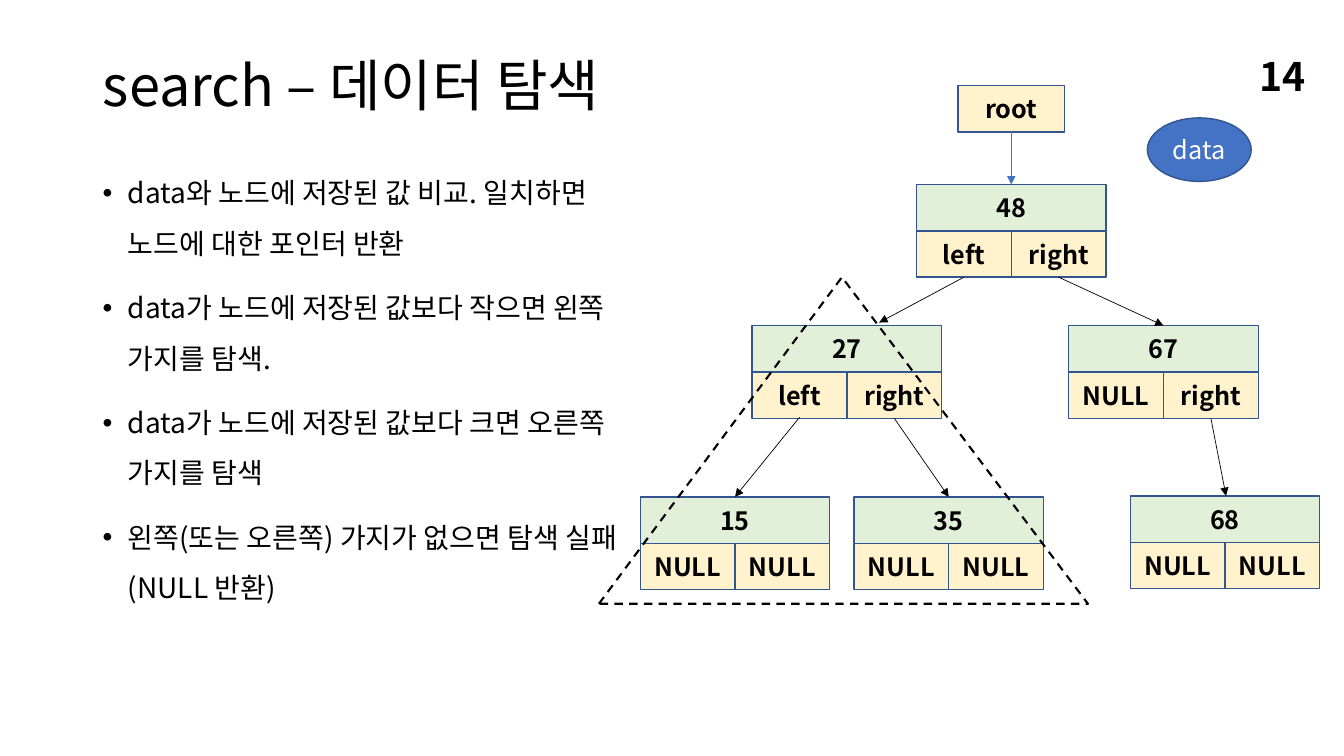
from dataclasses import dataclass
from typing import Any

import pptx
import pptx.dml.color
import pptx.enum.dml
import pptx.enum.shapes
import pptx.enum.text
import pptx.oxml.ns
import pptx.util
from lxml import etree

Inches = pptx.util.Inches
SHAPE = pptx.enum.shapes.MSO_SHAPE
ALIGN = pptx.enum.text.PP_ALIGN
MIDDLE = pptx.enum.text.MSO_ANCHOR.MIDDLE


@dataclass(frozen=True)
class Theme:
    font: str = "Noto Sans CJK KR"
    ink: str = "000000"
    paper: str = "FFFFFF"
    value_fill: str = "E2F0D9"
    pointer_fill: str = "FFF2CC"
    accent: str = "4472C4"
    outline: str = "325491"
    title_size: int = 40
    number_size: int = 28
    body_size: int = 20
    node_size: int = 18


@dataclass(frozen=True)
class Node:
    left: float
    top: float
    value: str
    left_label: str = "NULL"
    right_label: str = "NULL"


@dataclass(frozen=True)
class Arrow:
    start: tuple[float, float]
    end: tuple[float, float]
    color: str


THEME = Theme()
CELL_WIDTH, CELL_HEIGHT = 0.94, 0.46

BULLETS = [
    "data와 노드에 저장된 값 비교. 일치하면 노드에 대한 포인터 반환",
    "data가 노드에 저장된 값보다 작으면 왼쪽 가지를 탐색.",
    "data가 노드에 저장된 값보다 크면 오른쪽 가지를 탐색",
    "왼쪽(또는 오른쪽) 가지가 없으면 탐색 실패(NULL 반환)",
]
NODES = [
    Node(9.09, 1.83, "48", "left", "right"),
    Node(7.46, 3.23, "27", "left", "right"),
    Node(10.6, 3.23, "67", right_label="right"),
    Node(6.35, 4.93, "15"),
    Node(8.47, 4.93, "35"),
    Node(11.21, 4.92, "68"),
]
ARROWS = [
    Arrow((9.56, 2.75), (8.72, 3.2), THEME.ink),
    Arrow((10.5, 2.75), (11.54, 3.23), THEME.ink),
    Arrow((7.93, 4.14), (7.29, 4.93), THEME.ink),
    Arrow((8.87, 4.15), (9.41, 4.93), THEME.ink),
    Arrow((12.01, 4.15), (12.16, 4.92), THEME.ink),
    Arrow((10.03, 1.3), (10.03, 1.83), THEME.accent),
]


def rgb(color: str) -> pptx.dml.color.RGBColor:
    return pptx.dml.color.RGBColor.from_string(color)


def apply(target: Any, values: dict[str, Any]) -> None:
    for name, value in values.items():
        setattr(target, name, value)


def add_element(parent: Any, tag: str, **attributes: str) -> None:
    element = etree.SubElement(parent, pptx.oxml.ns.qn(tag))
    for name, value in attributes.items():
        element.set(name, value)


def write(para: Any, text: str, size: int, color: str = THEME.ink, bold: bool = False) -> None:
    span = para.add_run()
    span.text = text
    apply(span.font, {"name": THEME.font, "size": pptx.util.Pt(size), "bold": bold})
    span.font.color.rgb = rgb(color)
    add_element(span.font._element, "a:ea", typeface=THEME.font)


def place(shape: Any, left: float, top: float, width: float, height: float) -> None:
    apply(shape, {"left": Inches(left), "top": Inches(top),
                  "width": Inches(width), "height": Inches(height)})


def add_box(shapes: Any, kind: Any, left: float, top: float, width: float, height: float,
            fill: str, label: str, color: str = THEME.ink, bold: bool = True) -> None:
    box = shapes.add_shape(kind, Inches(left), Inches(top), Inches(width), Inches(height))
    box.shadow.inherit = False
    box.fill.solid()
    box.fill.fore_color.rgb = rgb(fill)
    box.line.color.rgb = rgb(THEME.outline)
    box.line.width = pptx.util.Pt(1)
    apply(box.text_frame, {"word_wrap": True, "vertical_anchor": MIDDLE})
    para = box.text_frame.paragraphs[0]
    para.alignment = ALIGN.CENTER
    write(para, label, THEME.node_size, color, bold)


def add_node(page: Any, node: Node) -> None:
    cells = page.shapes.add_group_shape().shapes
    pointer_top = node.top + CELL_HEIGHT
    middle = node.left + CELL_WIDTH
    for left, top, width, fill, label in (
        (node.left, pointer_top, CELL_WIDTH, THEME.pointer_fill, node.left_label),
        (node.left, node.top, 2 * CELL_WIDTH, THEME.value_fill, node.value),
        (middle, pointer_top, CELL_WIDTH, THEME.pointer_fill, node.right_label),
    ):
        add_box(cells, SHAPE.RECTANGLE, left, top, width, CELL_HEIGHT, fill, label)


def add_arrow(page: Any, arrow: Arrow) -> None:
    line = page.shapes.add_connector(pptx.enum.shapes.MSO_CONNECTOR.STRAIGHT,
                                     *map(Inches, arrow.start + arrow.end))
    line.line.color.rgb = rgb(arrow.color)
    line.line.width = pptx.util.Pt(0.5)
    add_element(line.line._get_or_add_ln(), "a:tailEnd", type="triangle")
    add_element(line._element.spPr, "a:effectLst")


def add_title(page: Any) -> None:
    title = page.shapes.title
    place(title, 0.92, 0.4, 11.5, 0.95)
    title.text_frame.vertical_anchor = MIDDLE
    para = title.text_frame.paragraphs[0]
    apply(para, {"alignment": ALIGN.LEFT, "line_spacing": 0.9})
    write(para, "search – 데이터 탐색", THEME.title_size)


def add_bullets(page: Any) -> None:
    frame = page.shapes.add_textbox(*map(Inches, (0.92, 1.53, 5.43, 5.22))).text_frame
    frame.word_wrap = True
    for index, text in enumerate(BULLETS):
        para = frame.add_paragraph() if index else frame.paragraphs[0]
        properties = para._p.get_or_add_pPr()
        properties.set("marL", str(Inches(0.25)))
        properties.set("indent", str(-Inches(0.25)))
        add_element(properties, "a:buFont", typeface="Arial")
        add_element(properties, "a:buChar", char="•")
        apply(para, {"line_spacing": 1.5, "space_before": pptx.util.Pt(10 if index else 0)})
        write(para, text, THEME.body_size)


def add_subtree_outline(page: Any) -> None:
    outline = page.shapes.add_shape(SHAPE.ISOSCELES_TRIANGLE,
                                    *map(Inches, (5.94, 2.75, 4.85, 3.24)))
    outline.adjustments[0] = 0.497
    outline.shadow.inherit = False
    outline.fill.background()
    outline.line.color.rgb = rgb(THEME.ink)
    apply(outline.line, {"width": pptx.util.Pt(1.5),
                         "dash_style": pptx.enum.dml.MSO_LINE.DASH})


def add_page_number(page: Any) -> None:
    frame = page.shapes.add_textbox(*map(Inches, (10.05, 0.55, 3, 0.4))).text_frame
    apply(frame, {"word_wrap": True, "vertical_anchor": MIDDLE})
    para = frame.paragraphs[0]
    para.alignment = ALIGN.RIGHT
    write(para, "14", THEME.number_size, bold=True)


def main() -> None:
    deck = pptx.Presentation()
    apply(deck, {"slide_width": Inches(13.33), "slide_height": Inches(7.5)})
    page = deck.slides.add_slide(deck.slide_layouts.get_by_name("Title Only"))
    # Text
    add_title(page)
    add_bullets(page)
    # Search tree
    for node in NODES:
        add_node(page, node)
    add_subtree_outline(page)
    add_box(page.shapes, SHAPE.RECTANGLE, 9.5, 0.85, 1.06, CELL_HEIGHT,
            THEME.pointer_fill, "root")
    for arrow in ARROWS:
        add_arrow(page, arrow)
    # Searched value and page number
    add_box(page.shapes, SHAPE.OVAL, 11.38, 1.17, 1.03, 0.63,
            THEME.accent, "data", THEME.paper, bold=False)
    add_page_number(page)
    deck.save("out.pptx")


if __name__ == "__main__":
    main()
